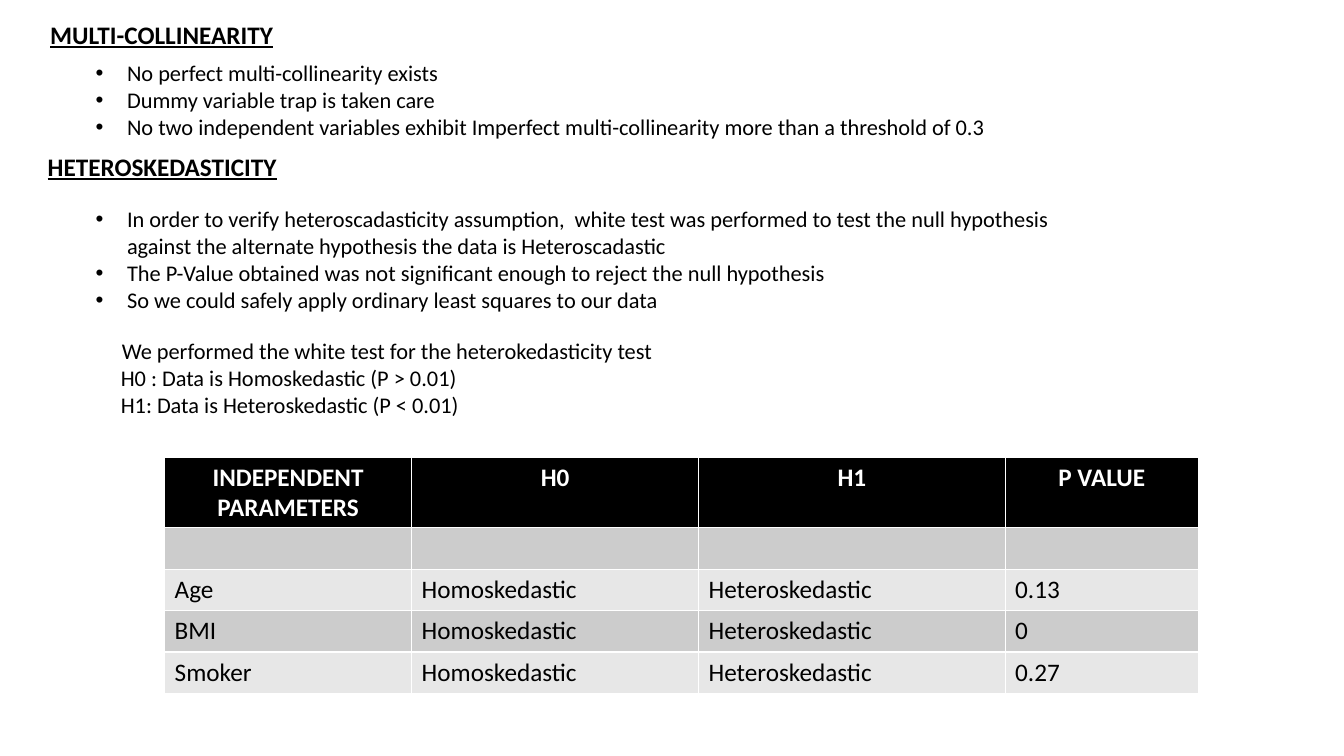
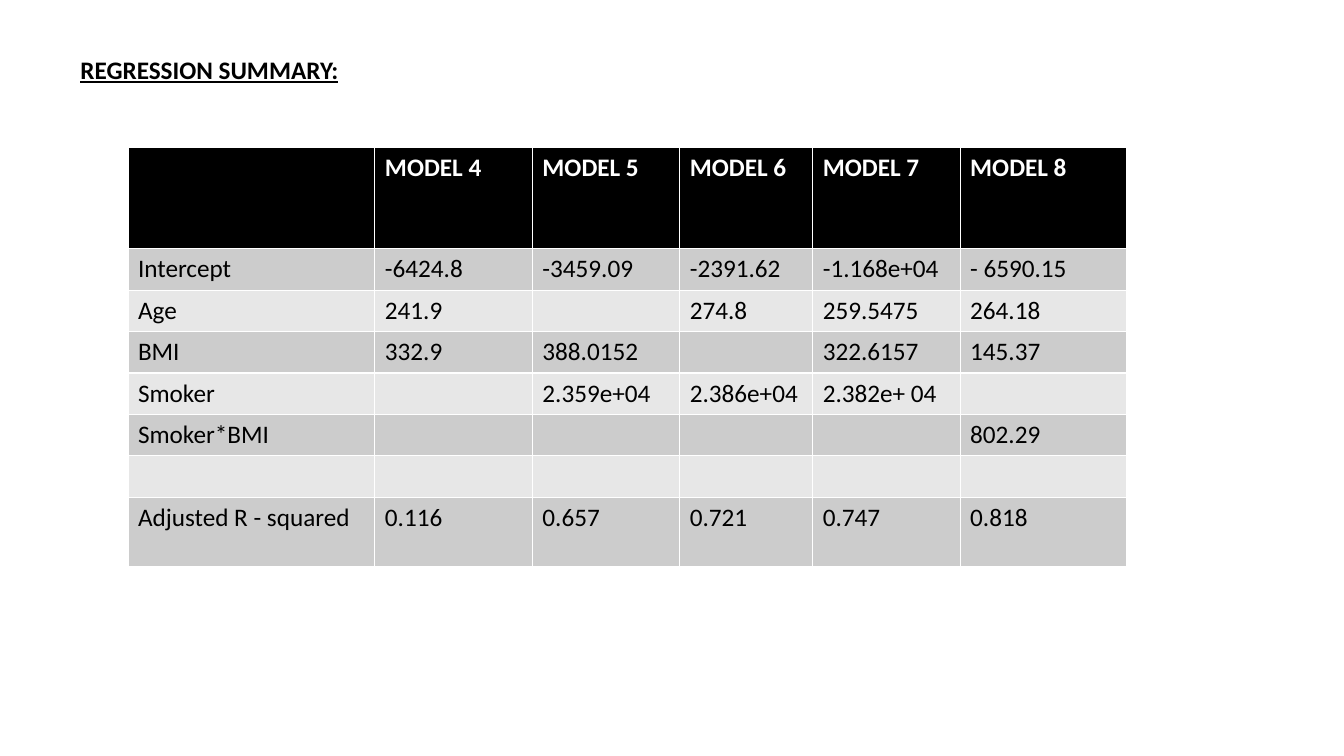
from dataclasses import dataclass
from lxml.etree import SubElement
from pptx import Presentation
from pptx.dml.color import RGBColor
from pptx.enum.text import MSO_AUTO_SIZE, PP_ALIGN
from pptx.oxml.ns import qn
from pptx.util import Pt

# Content: heads and texts hold (left, top, width, height) in points
HEADS = [
    [("MULTI-COLLINEARITY", (28.8, 10, 175, 29)),
     ("HETEROSKEDASTICITY", (27, 104.5, 179.5, 29))],
    [("REGRESSION SUMMARY:", (50.4, 35.2, 201, 29))],
]
LISTS = [
    ((61.2, 39, 674.6, 65.5), [
        "No perfect multi-collinearity exists",
        "Dummy variable trap is taken care",
        "No two independent variables exhibit Imperfect multi-collinearity "
        "more than a threshold of 0.3"]),
    ((61.2, 143.2, 703.4, 85), [
        "In order to verify heteroscadasticity assumption,  white test was "
        "performed to test the null hypothesis against the alternate "
        "hypothesis the data is Heteroscadastic",
        "The P-Value obtained was not significant enough to reject the "
        "null hypothesis",
        "So we could safely apply ordinary least squares to our data"]),
]
TEST = ((61.2, 237.6, 430.6, 87), [
    "We performed the white test for the heterokedasticity test",
    "H0 : Data is Homoskedastic (P > 0.01)",
    "H1: Data is Heteroskedastic (P < 0.01)"])
PAIR = ["Homoskedastic", "Heteroskedastic"]
WHITE = [
    ["INDEPENDENT\nPARAMETERS", "H0", "H1", "P VALUE"],
    [""] * 4,
    ["Age", *PAIR, "0.13"],
    ["BMI", *PAIR, "0"],
    ["Smoker", *PAIR, "0.27"],
]
MODELS = [
    ["", *(f"MODEL {n}" for n in range(4, 9))],
    ["Intercept", "-6424.8", "-3459.09", "-2391.62", "-1.168e+04", "- 6590.15"],
    ["Age", "241.9", "", "274.8", "259.5475", "264.18"],
    ["BMI", "332.9", "388.0152", "", "322.6157", "145.37"],
    ["Smoker", "", "2.359e+04", "2.386e+04", "2.382e+ 04", ""],
    ["Smoker*BMI", "", "", "", "", "802.29"],
    [""] * 6,
    ["Adjusted R - squared", "0.116", "0.657", "0.721", "0.747", "0.818"],
]


@dataclass(frozen=True)
class Theme:
    font: str = "Calibri"
    ink: str = "000000"
    paper: str = "FFFFFF"
    bands: tuple = ("CCCCCC", "E7E7E7")
    head: int = 18
    body: int = 16
    cell: int = 18
    hang: float = 22.5
    row: float = 29.6


LOOK = Theme()


# Helpers
def style(para, size, color=LOOK.ink, bold=False, line=False):
    for run in para.runs:
        font = run.font
        font.name, font.size = LOOK.font, Pt(size)
        font.bold, font.underline = bold, line
        font.color.rgb = RGBColor.from_string(color)


def indent(para, left, first=0):
    props = para._p.get_or_add_pPr()
    props.set("marL", str(Pt(left)))
    props.set("indent", str(Pt(first)))
    return props


def bullet(para):
    props = indent(para, LOOK.hang, -LOOK.hang)
    SubElement(props, qn("a:buFont")).set("typeface", "Arial")
    SubElement(props, qn("a:buChar")).set("char", "•")


def text(slide, box, lines, size, wrap=True, **kind):
    frame = slide.shapes.add_textbox(*map(Pt, box)).text_frame
    frame.text = "\n".join(lines)
    frame.word_wrap = wrap
    frame.auto_size = MSO_AUTO_SIZE.SHAPE_TO_FIT_TEXT
    for para in frame.paragraphs:
        style(para, size, **kind)
    return frame.paragraphs


def grid(slide, left, top, cols, rows, data, align):
    size = map(Pt, (left, top, sum(cols), sum(rows)))
    table = slide.shapes.add_table(len(rows), len(cols), *size).table
    for col, width in zip(table.columns, cols):
        col.width = Pt(width)
    for r, (row, tall) in enumerate(zip(data, rows)):
        table.rows[r].height = Pt(tall)
        top_row = r == 0
        fill = LOOK.ink if top_row else LOOK.bands[(r - 1) % 2]
        color = LOOK.paper if top_row else LOOK.ink
        for c, value in enumerate(row):
            cell = table.cell(r, c)
            cell.text = value
            cell.fill.solid()
            cell.fill.fore_color.rgb = RGBColor.from_string(fill)
            for para in cell.text_frame.paragraphs:
                para.alignment = align if top_row else PP_ALIGN.LEFT
                style(para, LOOK.cell, color, bold=top_row)


# Slides with their heads
deck = Presentation()
deck.slide_width, deck.slide_height = Pt(960), Pt(540)
slides = []
for heads in HEADS:
    slide = deck.slides.add_slide(deck.slide_layouts[6])
    slides.append(slide)
    for title, box in heads:
        text(slide, box, [title], LOOK.head, wrap=False, bold=True, line=True)
tests, summary = slides

# Assumption tests
for box, lines in LISTS:
    for para in text(tests, box, lines, LOOK.body):
        bullet(para)
intro, *cases = text(tests, *TEST, LOOK.body)
intro.alignment = PP_ALIGN.CENTER
for para in cases:
    indent(para, 18)
grid(tests, 117.6, 326.5, [176.4, 205, 219, 138], [49.7] + [LOOK.row] * 4,
     WHITE, PP_ALIGN.CENTER)

# Regression summary
grid(summary, 91.4, 105, [176.4, 112.5, 105.3, 95, 105.3, 118.8],
     [72.7] + [LOOK.row] * 6 + [49.7], MODELS, PP_ALIGN.LEFT)

deck.save("out.pptx")
